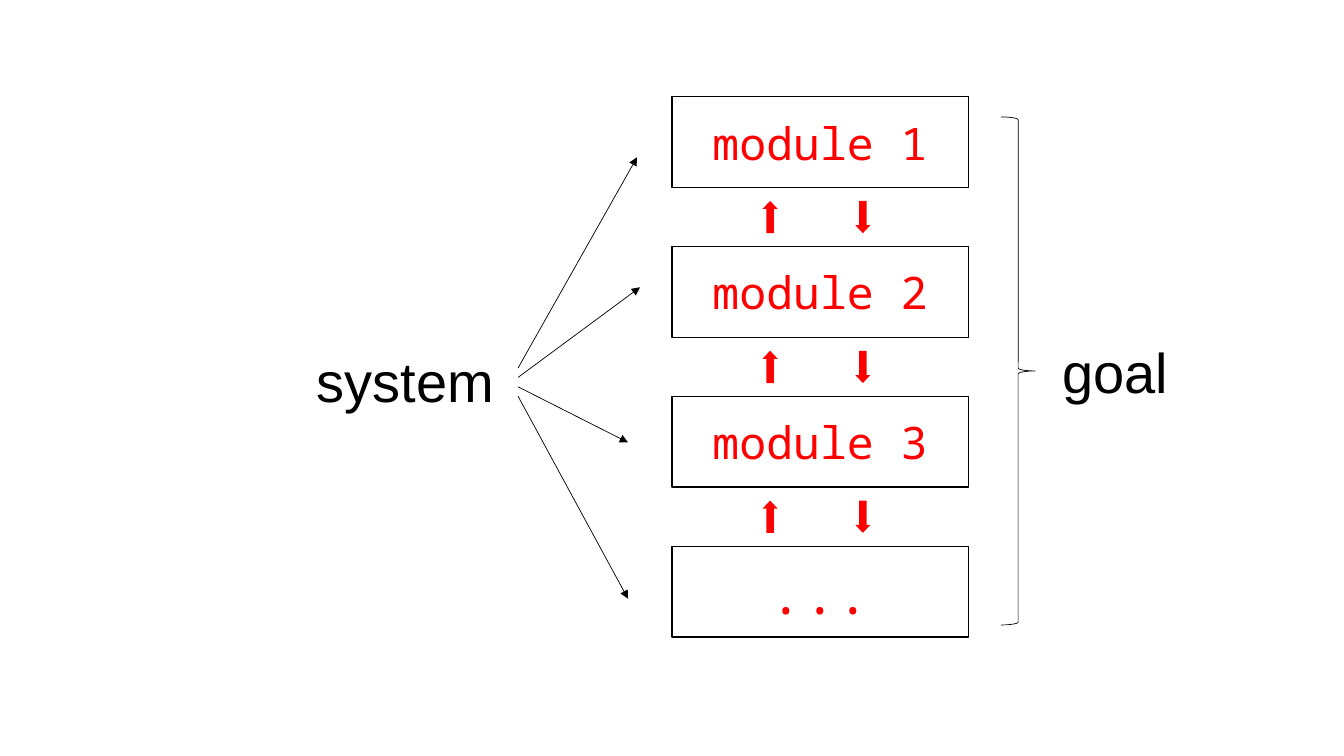
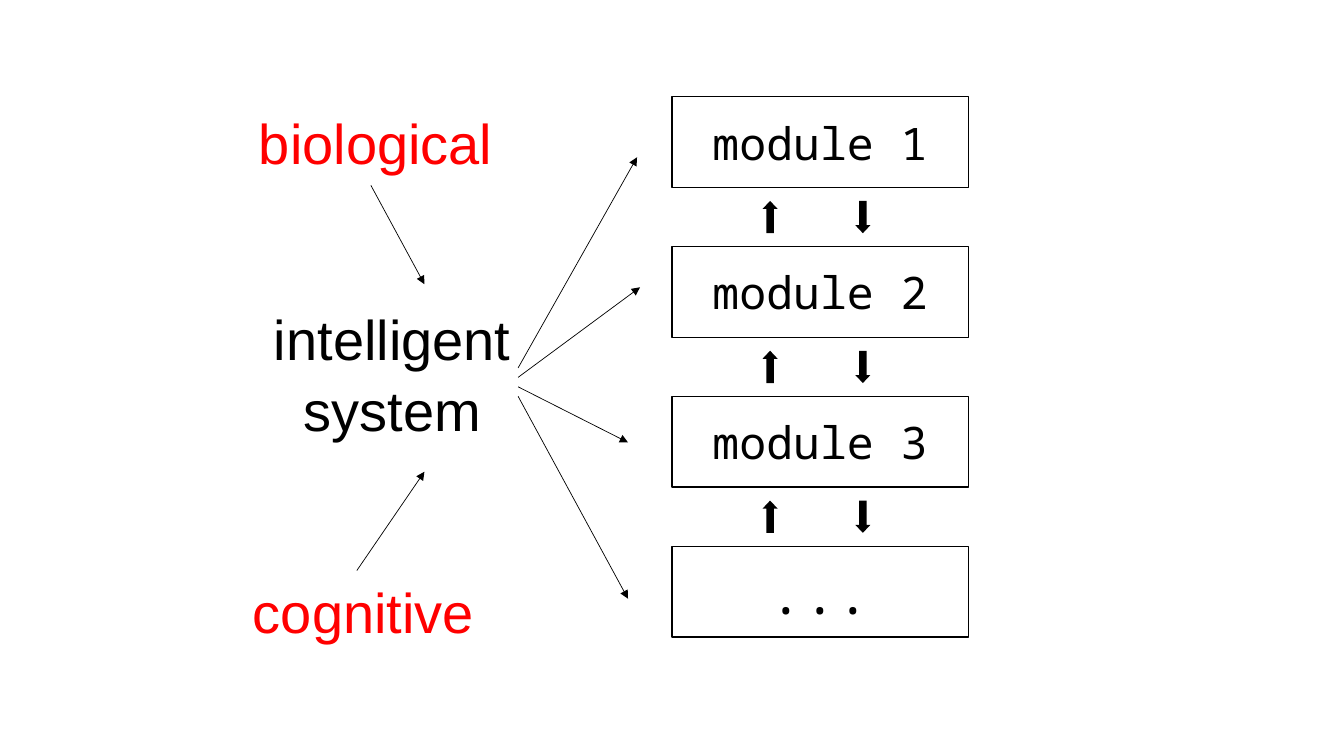
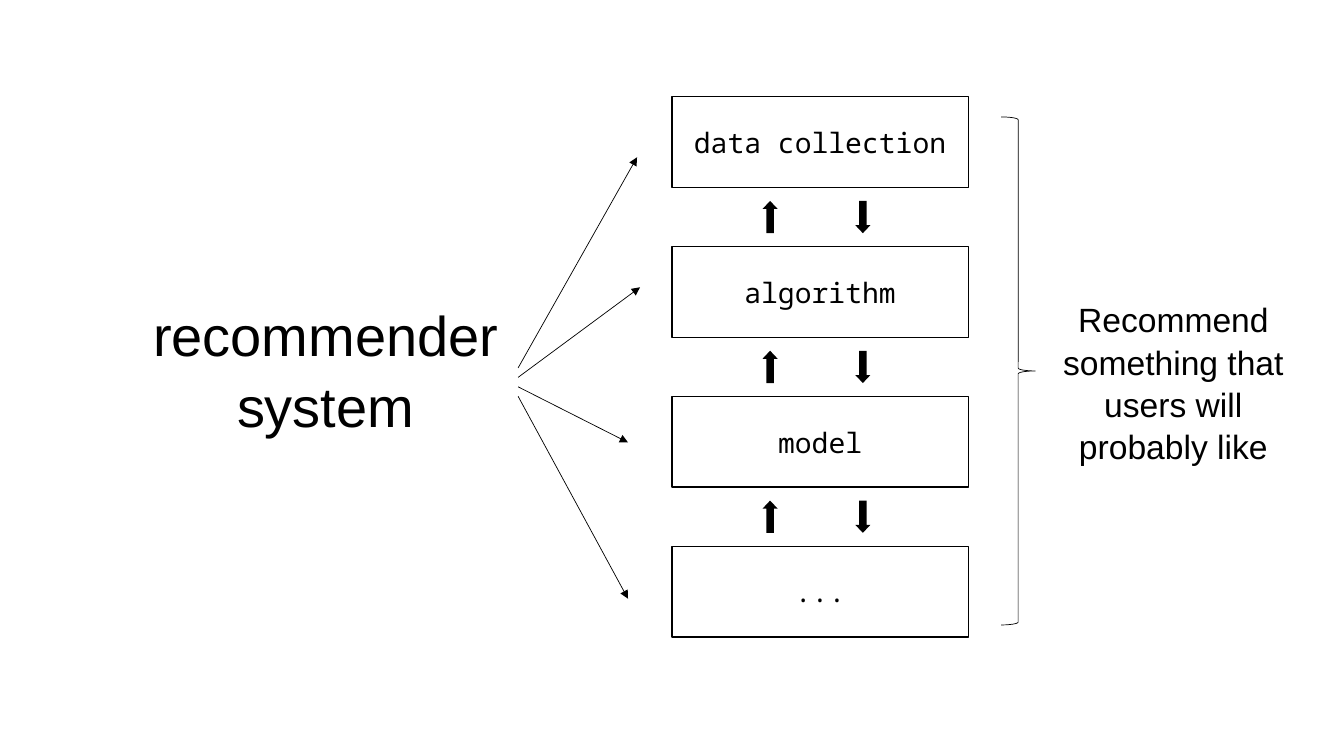
from itertools import cycle

from lxml.etree import SubElement
from pptx import Presentation
from pptx.dml.color import RGBColor
from pptx.enum.shapes import MSO_CONNECTOR as Connector, MSO_SHAPE as Shape
from pptx.enum.text import MSO_ANCHOR as Anchor, MSO_AUTO_SIZE as AutoSize, PP_ALIGN as Align
from pptx.oxml.ns import qn
from pptx.util import Inches, Pt

COLORS = {"ink": "000000", "paper": "FFFFFF", "accent": "FF0000"}
LABEL_FONT = "Arial"
MODULE_FONT = "Noto Sans Mono"

MODULE_LEFT, MODULE_TOP = 50, 12.8
MODULE_WIDTH, MODULE_HEIGHT = 22.05, 12
MODULE_PITCH = 19.82
ARROW_WIDTH, ARROW_HEIGHT = 2.4, 2
ARROW_CENTERS = [(57.3, 270), (64.2, 90)]
FAN_LEFT, FAN_TOP, FAN_STEP = 38.55, 48.67, 1.25
FAN_ENDS = [(47.4, 20.8), (47.62, 38), (46.73, 58.53), (46.73, 79.2)]
BRACE = (74.48, 15.47, 2.55, 67.2)

PAGES = [
    {
        "modules": ["module 1", "module 2", "module 3", "..."],
        "sizes": [32, 32, 32, 40],
        "module_color": "accent",
        "arrow_color": "accent",
        "brace": True,
        "links": [],
        "labels": [
            (["system"], 40, "ink", Align.CENTER, (15.3, 44.8, 29.7, 10.27)),
            (["goal"], 40, "ink", Align.CENTER, (74.7, 43.6, 16.58, 10.27)),
        ],
    },
    {
        "modules": ["module 1", "module 2", "module 3", "..."],
        "sizes": [32, 32, 32, 40],
        "module_color": "ink",
        "arrow_color": "ink",
        "brace": False,
        "links": [(26.55, 75.47, 31.58, 62.4), (27.6, 24.53, 31.58, 37.6)],
        "labels": [
            (["intelligent system"], 40, "ink", Align.CENTER, (14.33, 39.2, 29.7, 19.33)),
            (["biological"], 40, "accent", Align.LEFT, (18.53, 13.2, 25.73, 10.27)),
            (["cognitive"], 40, "accent", Align.LEFT, (18.08, 75.33, 24.15, 10.27)),
        ],
    },
    {
        "modules": ["data collection", "algorithm", "model", "..."],
        "sizes": [20, 20, 20, 20],
        "module_color": "ink",
        "arrow_color": "ink",
        "brace": True,
        "links": [],
        "labels": [
            (["recommender", "system"], 40, "ink", Align.CENTER, (9.38, 38.67, 29.7, 19.33)),
            (["Recommend something that users will probably like"], 24, "ink",
             Align.CENTER, (77.85, 38.67, 18.9, 22.93)),
        ],
    },
]

deck = Presentation()
deck.slide_width, deck.slide_height = Inches(13.33), Inches(7.5)


def place(*shares):
    sides = cycle((deck.slide_width, deck.slide_height))
    return [int(share * side / 100) for share, side in zip(shares, sides)]


def write(box, lines, size, font, color, align, spacing=None):
    frame = box.text_frame
    frame.word_wrap = True
    for index, line in enumerate(lines):
        para = frame.paragraphs[0] if index == 0 else frame.add_paragraph()
        para.alignment = align
        para.line_spacing = spacing
        span = para.add_run()
        span.text = line
        span.font.size = Pt(size)
        span.font.name = font
        span.font.color.rgb = RGBColor.from_string(COLORS[color])


ink = RGBColor.from_string(COLORS["ink"])
paper = RGBColor.from_string(COLORS["paper"])

for content in PAGES:
    page = deck.slides.add_slide(deck.slide_layouts[6])

    for index, (name, size) in enumerate(zip(content["modules"], content["sizes"])):
        top = MODULE_TOP + index * MODULE_PITCH
        module = page.shapes.add_shape(
            Shape.RECTANGLE, *place(MODULE_LEFT, top, MODULE_WIDTH, MODULE_HEIGHT))
        module.shadow.inherit = False
        module.fill.solid()
        module.fill.fore_color.rgb = paper
        module.line.color.rgb = ink
        module.line.width = Pt(1)
        module.text_frame.vertical_anchor = Anchor.MIDDLE
        write(module, [name], size, MODULE_FONT, content["module_color"], Align.CENTER)

    for gap in range(len(content["modules"]) - 1):
        middle = MODULE_TOP + gap * MODULE_PITCH + (MODULE_HEIGHT + MODULE_PITCH) / 2
        for center, rotation in ARROW_CENTERS:
            arrow = page.shapes.add_shape(
                Shape.RIGHT_ARROW,
                *place(center - ARROW_WIDTH / 2, middle - ARROW_HEIGHT / 2,
                       ARROW_WIDTH, ARROW_HEIGHT))
            arrow.rotation = rotation
            arrow.adjustments[1] = 0.53
            arrow.shadow.inherit = False
            arrow.fill.solid()
            arrow.fill.fore_color.rgb = RGBColor.from_string(COLORS[content["arrow_color"]])
            arrow.line.fill.background()

    fan = [(FAN_LEFT, FAN_TOP + index * FAN_STEP, *end) for index, end in enumerate(FAN_ENDS)]
    for ends in fan + content["links"]:
        link = page.shapes.add_connector(Connector.STRAIGHT, *place(*ends))
        link.line.color.rgb = ink
        link.line.width = Pt(0.5)
        SubElement(link.line._get_or_add_ln(), qn("a:tailEnd"), type="triangle")
        SubElement(link._element.spPr, qn("a:effectLst"))

    if content["brace"]:
        brace = page.shapes.add_shape(Shape.RIGHT_BRACE, *place(*BRACE))
        brace.shadow.inherit = False
        brace.fill.background()
        brace.line.color.rgb = ink
        brace.line.width = Pt(0.5)

    for lines, size, color, align, area in content["labels"]:
        label = page.shapes.add_textbox(*place(*area))
        label.text_frame.auto_size = AutoSize.SHAPE_TO_FIT_TEXT
        write(label, lines, size, LABEL_FONT, color, align, 1.05)

deck.save("out.pptx")
